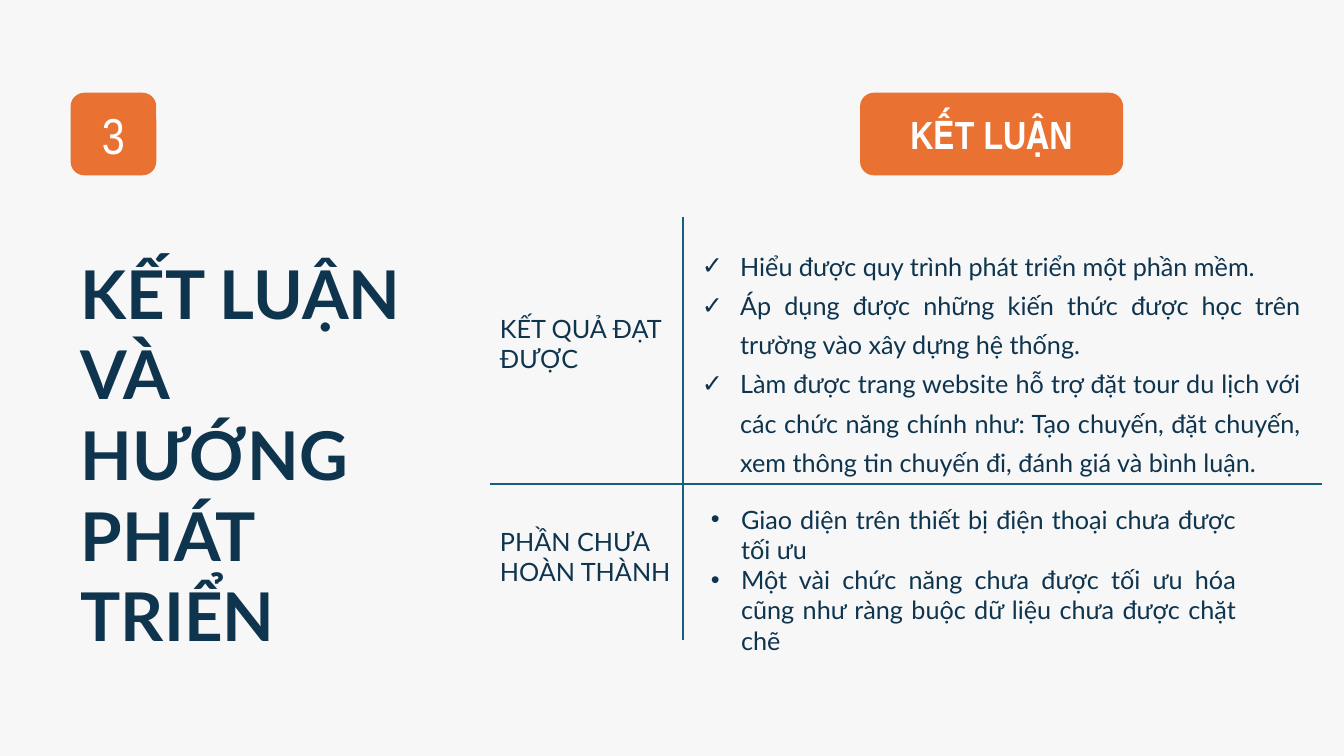
import pptx
import pptx.dml.color
import pptx.enum.shapes
import pptx.enum.text
import pptx.oxml.ns
import pptx.util
from lxml import etree

COLORS = {"paper": "F7F7F7", "accent": "E97132", "ink": "0E344E", "rule": "156082", "white": "FFFFFF"}
ALIGN = pptx.enum.text.PP_ALIGN
ANCHOR = pptx.enum.text.MSO_ANCHOR
AUTO = pptx.enum.text.MSO_AUTO_SIZE
PT = pptx.util.Pt

FORMATS = {
    "title": {"name": "Lato", "size": PT(48), "bold": True, "color": "ink"},
    "text": {"name": "Lato", "size": PT(18), "bold": False, "color": "ink"},
    "number": {"name": "Arial Narrow", "size": PT(36), "bold": False, "color": "white"},
    "heading": {"name": "Arial Narrow", "size": PT(28), "bold": True, "color": "white"},
}


def rgb(key):
    return pptx.dml.color.RGBColor.from_string(COLORS[key])


class Deck:
    """Holds the style and the current slide; lengths are percent of the slide's size."""

    def __init__(self, prs, layout):
        self.prs = prs
        self.slide = prs.slides.add_slide(prs.slide_layouts[layout])
        fill = self.slide.background.fill
        fill.solid()
        fill.fore_color.rgb = rgb("paper")

    def x(self, share):
        return round(self.prs.slide_width * share / 100)

    def y(self, share):
        return round(self.prs.slide_height * share / 100)

    def box(self, left, top, width, height):
        return self.x(left), self.y(top), self.x(width), self.y(height)

    def place(self, sp, box):
        for name, value in zip(("left", "top", "width", "height"), self.box(*box)):
            setattr(sp, name, value)

    def set_text(self, sp, lines, fmt, align=ALIGN.LEFT, anchor=ANCHOR.TOP, spacing=1.0, auto=AUTO.SHAPE_TO_FIT_TEXT):
        tf = sp.text_frame
        for name, value in {"word_wrap": True, "auto_size": auto, "vertical_anchor": anchor}.items():
            setattr(tf, name, value)
        for i, line in enumerate(lines):
            p = tf.paragraphs[0] if i == 0 else tf.add_paragraph()
            for name, value in {"alignment": align, "line_spacing": spacing, "space_before": PT(0)}.items():
                setattr(p, name, value)
            r = p.add_run()
            r.text = line
            for name, value in FORMATS[fmt].items():
                if name == "color":
                    r.font.color.rgb = rgb(value)
                else:
                    setattr(r.font, name, value)

    def title(self, text, box):
        sp = self.slide.shapes.title
        self.place(sp, box)
        self.set_text(sp, [text], "title")

    def bullets(self, idx, lines, box, mark, indent, hang, spacing=1.0):
        """Fills a body placeholder; indent and hang are inches."""
        sp = self.slide.placeholders[idx]
        self.place(sp, box)
        self.set_text(sp, lines, "text", ALIGN.JUSTIFY, spacing=spacing)
        for p in sp.text_frame.paragraphs:
            pPr = p._p.get_or_add_pPr()
            pPr.set("marL", str(pptx.util.Inches(indent)))
            pPr.set("indent", str(-pptx.util.Inches(hang)))
            for tag, attr, value in (("a:buFont", "typeface", "Arial"), ("a:buChar", "char", mark)):
                etree.SubElement(pPr, pptx.oxml.ns.qn(tag)).set(attr, value)

    def label(self, text, box):
        sp = self.slide.shapes.add_textbox(*self.box(*box))
        self.set_text(sp, [text], "text")

    def badge(self, text, box, fmt):
        kind = pptx.enum.shapes.MSO_SHAPE.ROUNDED_RECTANGLE
        sp = self.slide.shapes.add_shape(kind, *self.box(*box))
        sp.shadow.inherit = False
        sp.fill.solid()
        sp.fill.fore_color.rgb = rgb("accent")
        sp.line.fill.background()
        self.set_text(sp, [text], fmt, ALIGN.CENTER, ANCHOR.MIDDLE, auto=AUTO.NONE)

    def rule(self, x1, y1, x2, y2):
        kind = pptx.enum.shapes.MSO_CONNECTOR.STRAIGHT
        line = self.slide.shapes.add_connector(kind, self.x(x1), self.y(y1), self.x(x2), self.y(y2))
        line.line.color.rgb = rgb("rule")
        line.line.width = PT(1.5)
        etree.SubElement(line._element.spPr, pptx.oxml.ns.qn("a:effectLst"))


def main():
    prs = pptx.Presentation()
    prs.slide_width = pptx.util.Inches(13.33)
    prs.slide_height = pptx.util.Inches(7.5)
    deck = Deck(prs, layout=3)

    margin, badge_top, badge_height = 5.25, 12.27, 10.93
    table_left, divider, table_right = 36.46, 50.79, 98.35

    deck.badge("3", (margin, badge_top, 6.38, badge_height), "number")
    deck.title("KẾT LUẬN VÀ HƯỚNG PHÁT TRIỂN", (margin, 32.67, 28.66, 33.6))
    deck.badge("KẾT LUẬN", (63.99, badge_top, 19.58, badge_height), "heading")

    deck.rule(divider, 28.67, divider, 84.67)
    deck.rule(table_left, 64, table_right, 64)

    for text, top in (("KẾT QUẢ ĐẠT ĐƯỢC", 40.8), ("PHẦN CHƯA HOÀN THÀNH", 68.93)):
        deck.label(text, (table_left, top, divider - table_left, 9.47))

    deck.bullets(1, [
        "Hiểu được quy trình phát triển một phần mềm.",
        "Áp dụng được những kiến thức được học trên trường vào xây dựng hệ thống.",
        "Làm được trang website hỗ trợ đặt tour du lịch với các chức năng chính như: "
        "Tạo chuyến, đặt chuyến, xem thông tin chuyến đi, đánh giá và bình luận.",
    ], (50.04, 31.33, 47.49, 32.53), "✓", 0.57, 0.38, spacing=1.3)
    deck.bullets(2, [
        "Giao diện trên thiết bị điện thoại chưa được tối ưu",
        "Một vài chức năng chưa được tối ưu hóa cũng như ràng buộc dữ liệu chưa được chặt chẽ",
    ], (51.54, 66, 41.19, 21.6), "•", 0.38, 0.3)

    prs.save("out.pptx")


if __name__ == "__main__":
    main()
